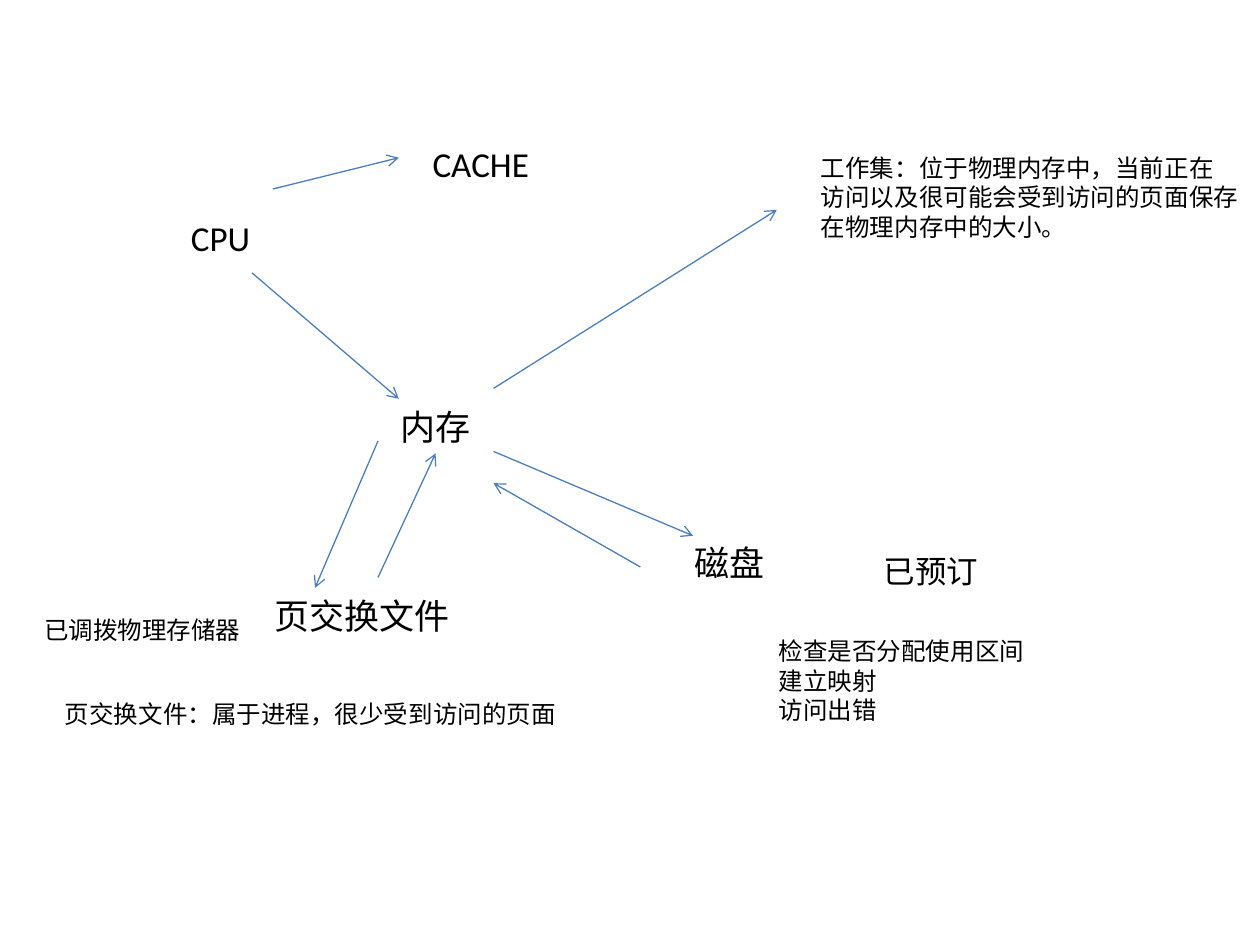
from lxml import etree
from pptx import Presentation
from pptx import util as u
from pptx.dml.color import RGBColor
from pptx.enum import shapes, text
from pptx.oxml.ns import qn


def color(value):
    return RGBColor.from_string(value)


class Diagram:
    """Draws labels and arrows on one slide in a shared style."""

    font = {"name": "Calibri"}
    ink = "000000"
    stroke = "4B7EBC"
    line_height = 0.0427
    padding = 0.26

    def __init__(self, page):
        self.page = page

    def label(self, left, top, width, size, *lines, wrap=False):
        height = len(lines) * size * self.line_height + self.padding
        box = self.page.shapes.add_textbox(
            u.Cm(left), u.Cm(top), u.Cm(width), u.Cm(round(height, 2)))
        frame = box.text_frame
        frame.word_wrap = wrap
        frame.auto_size = text.MSO_AUTO_SIZE.SHAPE_TO_FIT_TEXT
        for index, line in enumerate(lines):
            para = frame.add_paragraph() if index else frame.paragraphs[0]
            span = para.add_run()
            span.text = line
            for key, value in {**self.font, "size": u.Pt(size)}.items():
                setattr(span.font, key, value)
            span.font.color.rgb = color(self.ink)

    def arrow(self, start, end):
        connector = self.page.shapes.add_connector(
            shapes.MSO_CONNECTOR.STRAIGHT, *map(u.Cm, start + end))
        connector.line.width = u.Pt(0.75)
        connector.line.color.rgb = color(self.stroke)
        properties = connector._element.spPr
        etree.SubElement(properties.find(qn("a:ln")), qn("a:tailEnd"), type="arrow")
        etree.SubElement(properties, qn("a:effectLst"))


deck = Presentation()
deck.slide_width, deck.slide_height = u.Cm(25.4), u.Cm(19.05)
diagram = Diagram(deck.slides.add_slide(deck.slide_layouts[6]))

diagram.label(3.6, 4.23, 2.12, 20, "CPU", wrap=True)
for left, top, width, name in [
    (8.47, 2.75, 2.46, "CACHE"),
    (7.83, 8.04, 1.92, "内存"),
    (5.29, 11.85, 4.06, "页交换文件"),
    (13.76, 10.8, 1.92, "磁盘"),
]:
    diagram.label(left, top, width, 20, name)

for start, end in [
    ((5.5, 3.81), (8.04, 3.18)),
    ((5.08, 5.5), (8.04, 8.04)),
    ((7.62, 8.89), (6.35, 11.85)),
    ((7.62, 11.64), (8.78, 9.14)),
    ((9.95, 9.1), (13.97, 10.8)),
    ((12.91, 11.43), (9.95, 9.74)),
    ((9.95, 7.83), (15.66, 4.23)),
]:
    diagram.arrow(start, end)

diagram.label(16.3, 2.96, 8.99, 14, "工作集:位于物理内存中,当前正在".replace(":", "\uff1a").replace(",", "\uff0c"),
              "访问以及很可能会受到访问的页面保存", "在物理内存中的大小。")
diagram.label(1.06, 13.97, 10.49, 14, "页交换文件\uff1a属于进程\uff0c很少受到访问的页面")
diagram.label(15.45, 12.7, 5.51, 14, "检查是否分配使用区间", "建立映射", "访问出错")
diagram.label(17.57, 11.01, 2.96, 18, "已预订", wrap=True)
diagram.label(0.64, 12.28, 4.5, 14, "已调拨物理存储器")

deck.save("out.pptx")
